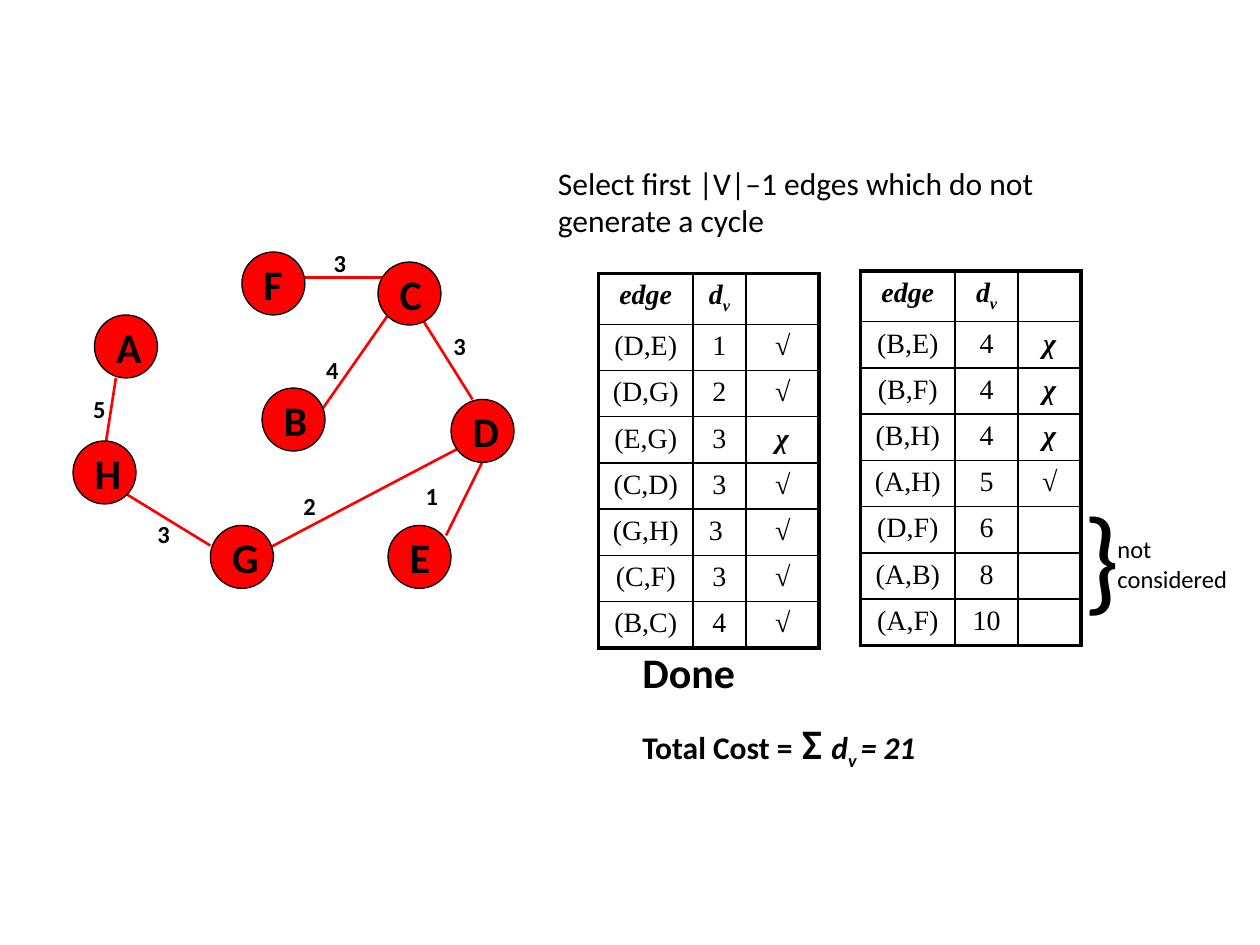
from lxml import etree
from pptx import Presentation
from pptx.dml.color import RGBColor
from pptx.enum.shapes import MSO_CONNECTOR, MSO_SHAPE
from pptx.enum.text import MSO_ANCHOR, MSO_AUTO_SIZE, PP_ALIGN
from pptx.oxml import parse_xml
from pptx.oxml.ns import nsdecls, qn
from pptx.util import Inches, Pt

STRAIGHT = MSO_CONNECTOR.STRAIGHT
OVAL = MSO_SHAPE.OVAL
MIDDLE = MSO_ANCHOR.MIDDLE
GROW = MSO_AUTO_SIZE.SHAPE_TO_FIT_TEXT
CENTER = PP_ALIGN.CENTER

BLACK, RED = "000000", "FF0000"
SANS, SERIF = "Calibri", "Times New Roman"
NODE_SIZE = 0.5
THICK, THIN = 2.25, 1

NODES = {
    "A": (0.17, 0.58), "H": (0, 1.58), "B": (1.5, 1.16), "F": (1.34, 0.08),
    "E": (2.5, 2.25), "D": (3, 1.25), "C": (2.42, 0.16), "G": (1.09, 2.25),
}
# start, end, weight, label position, label width
EDGES = [
    ((3.37, 1.5), (2.96, 2.33), "1", (2.7, 1.85), 0.52),
    ((1.92, 1.41), (2.5, 0.58), "4", (1.91, 0.85), 0.33),
    ((1.42, 2.5), (3.17, 1.58), "2", (1.73, 1.93), 0.33),
    ((0.25, 1.66), (0.34, 1.08), "5", (0.06, 1.16), 0.33),
    ((1.8, 0.28), (2.47, 0.28), "3", (1.97, 0), 0.33),
    ((2.75, 0.58), (3.17, 1.25), "3", (2.92, 0.66), 0.33),
    ((1.09, 2.41), (0.42, 2), "3", (0.57, 2.15), 0.33),
]
FIRST_EDGES = [
    ("(D,E)", "1", "√"), ("(D,G)", "2", "√"), ("(E,G)", "3", "χ"), ("(C,D)", "3", "√"),
    ("(G,H)", "3 ", "√"), ("(C,F)", "3", "√"), ("(B,C)", "4", "√"),
]
LAST_EDGES = [
    ("(B,E)", "4", "χ"), ("(B,F)", "4", "χ"), ("(B,H)", "4", "χ"), ("(A,H)", "5", "√"),
    ("(D,F)", "6", ""), ("(A,B)", "8", ""), ("(A,F)", "10", ""),
]


def color(value):
    """Return the colour for a hex string."""
    return RGBColor.from_string(value)


def set_font(font, size, name=SANS, bold=False, italic=False):
    """Set a black font."""
    font.size, font.name, font.bold, font.italic = Pt(size), name, bold, italic
    font.color.rgb = color(BLACK)


def add_run(p, text, size=None, italic=None, subscript=False):
    """Append a run that differs from its paragraph only where asked."""
    r = p.add_run()
    r.text = text
    if size:
        r.font.size = Pt(size)
    if italic is not None:
        r.font.italic = italic
    if subscript:
        r._r.get_or_add_rPr().set("baseline", "-25000")


def add_text(slide, left, top, width, height, text, size, bold=False):
    """Add a wrapping text box with one paragraph per line and return its frame."""
    sp = slide.shapes.add_textbox(Inches(left), Inches(top), Inches(width), Inches(height))
    tf = sp.text_frame
    tf.word_wrap = True
    tf.auto_size = GROW
    tf.text = text
    for p in tf.paragraphs:
        set_font(p.font, size, bold=bold)
    return tf


def add_edge(slide, left, top, start, end):
    """Draw one red edge of the tree."""
    line = slide.shapes.add_connector(
        STRAIGHT, Inches(left + start[0]), Inches(top + start[1]),
        Inches(left + end[0]), Inches(top + end[1]))
    line.line.color.rgb = color(RED)
    line.line.width = Pt(1.5)
    etree.SubElement(line._element.spPr, qn("a:effectLst"))


def add_node(slide, left, top, name):
    """Draw one named node."""
    sp = slide.shapes.add_shape(
        OVAL, Inches(left), Inches(top), Inches(NODE_SIZE), Inches(NODE_SIZE))
    sp.shadow.inherit = False
    sp.fill.solid()
    sp.fill.fore_color.rgb = color(RED)
    sp.line.color.rgb = color(BLACK)
    sp.line.width = Pt(0.75)
    tf = sp.text_frame
    tf.word_wrap = False
    tf.vertical_anchor = MIDDLE
    tf.text = name
    p = tf.paragraphs[0]
    p.alignment = PP_ALIGN.LEFT
    set_font(p.font, 24, bold=True)


def add_graph(slide, left, top):
    """Draw the spanning tree with its edge weights."""
    for start, end, _, _, _ in EDGES:
        add_edge(slide, left, top, start, end)
    for name, (x, y) in NODES.items():
        add_node(slide, left + x, top + y, name)
    for _, _, weight, (x, y), width in EDGES:
        add_text(slide, left + x, top + y, width, 0.33, weight, 14, bold=True)


def set_borders(cell, widths):
    """Give a cell black borders from a mapping of side to points."""
    tc_pr = cell._tc.get_or_add_tcPr()
    for side, width in widths.items():
        tc_pr.append(parse_xml(
            f'<a:ln{side} {nsdecls("a")} w="{Pt(width)}"><a:solidFill>'
            f'<a:srgbClr val="{BLACK}"/></a:solidFill></a:ln{side}>'))


def add_edge_table(slide, left, top, widths, edges):
    """Add a table of edges with weights and accept or reject marks."""
    rows = [("edge", "d", "")] + edges
    heights = [0.4] + [0.36] * len(edges)
    table = slide.shapes.add_table(
        len(rows), len(widths), Inches(left), Inches(top),
        Inches(sum(widths)), Inches(sum(heights))).table
    table.first_row = table.horz_banding = False
    for column, width in zip(table.columns, widths):
        column.width = Inches(width)
    for i, values in enumerate(rows):
        table.rows[i].height = Inches(heights[i])
        for j, text in enumerate(values):
            cell = table.cell(i, j)
            set_borders(cell, {
                "L": THICK if j == 0 else THIN,
                "R": THICK if j == len(widths) - 1 else THIN,
                "T": THICK if i == 0 else THIN,
                "B": THICK if i == len(rows) - 1 else THIN,
            })
            cell.fill.background()
            p = cell.text_frame.paragraphs[0]
            p.alignment = CENTER
            strong = i == 0 or j == 2
            set_font(p.font, 16, SERIF, strong, strong)
            if text:
                add_run(p, text)
            else:
                cell.margin_top = cell.margin_bottom = 0
            if text == "d":
                add_run(p, "v", subscript=True)


def add_result(slide, left, top):
    """Add the closing message and the total cost."""
    tf = add_text(slide, left, top, 3.17, 1.6, "Done", 24, bold=True)
    p = tf.add_paragraph()
    p.space_before = Pt(12)
    set_font(p.font, 18, bold=True)
    add_run(p, "Total Cost =")
    add_run(p, " Σ ", size=24)
    add_run(p, "d", italic=True)
    add_run(p, "v ", italic=True, subscript=True)
    add_run(p, "= 21", italic=True)


def add_remark(slide, left, top):
    """Add the brace and its remark on the remaining edges."""
    add_text(slide, left, top, 0.5, 1.2, "}", 66)
    add_text(slide, left + 0.27, top + 0.39, 1.08, 0.57, "not\nconsidered", 14)


def main():
    """Build the slide and save it."""
    prs = Presentation()
    prs.slide_width, prs.slide_height = Inches(10), Inches(7.5)
    slide = prs.slides.add_slide(prs.slide_layouts[6])
    add_text(slide, 4.33, 1.25, 4.42, 0.77,
             "Select first |V|–1 edges which do not generate a cycle", 18)
    add_graph(slide, 0.58, 1.92)
    add_edge_table(slide, 4.75, 2.17, [0.75, 0.42, 0.58], FIRST_EDGES)
    add_edge_table(slide, 6.83, 2.15, [0.75, 0.5, 0.5], LAST_EDGES)
    add_result(slide, 5, 5.08)
    add_remark(slide, 8.5, 3.8)
    prs.save("out.pptx")


if __name__ == "__main__":
    main()
